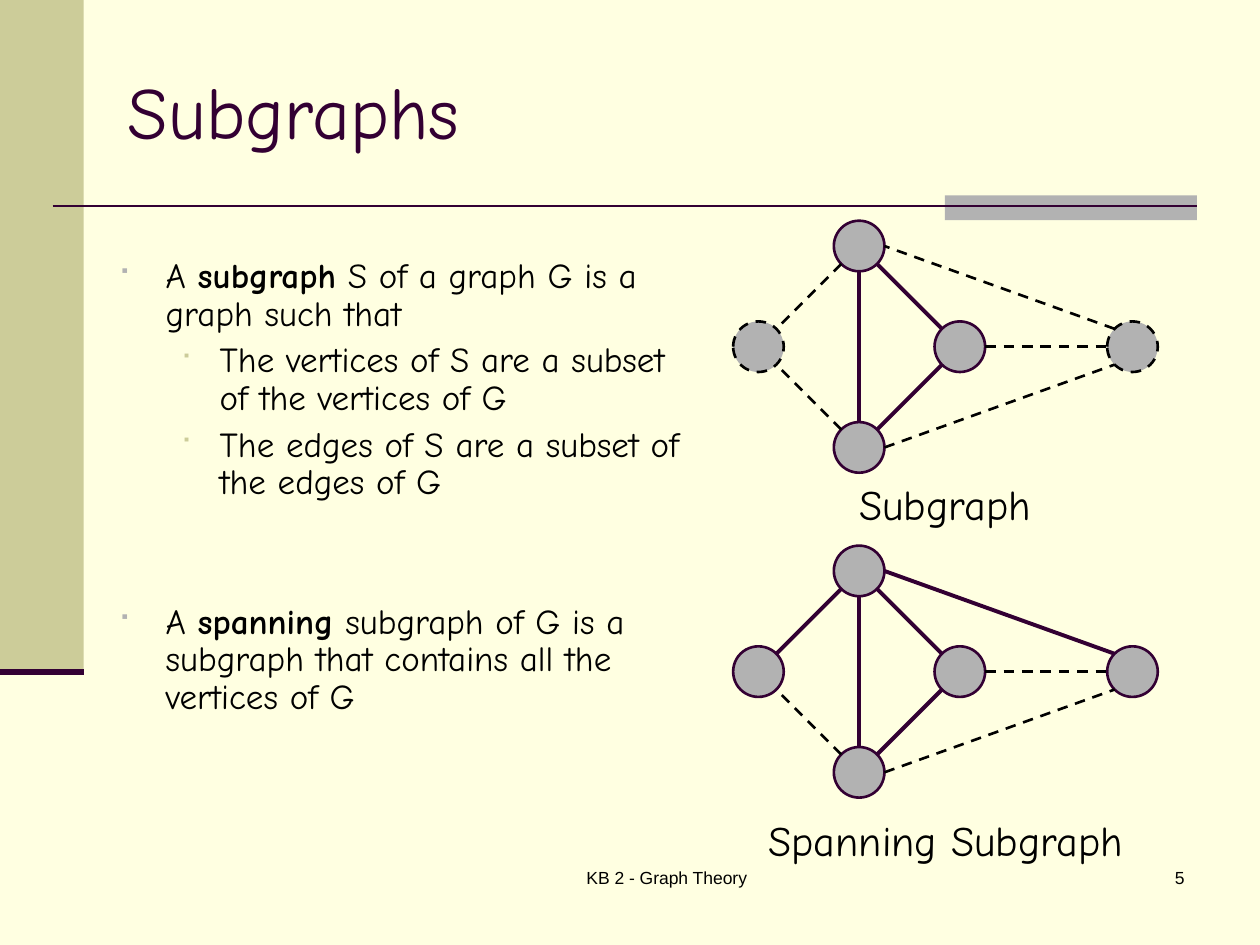
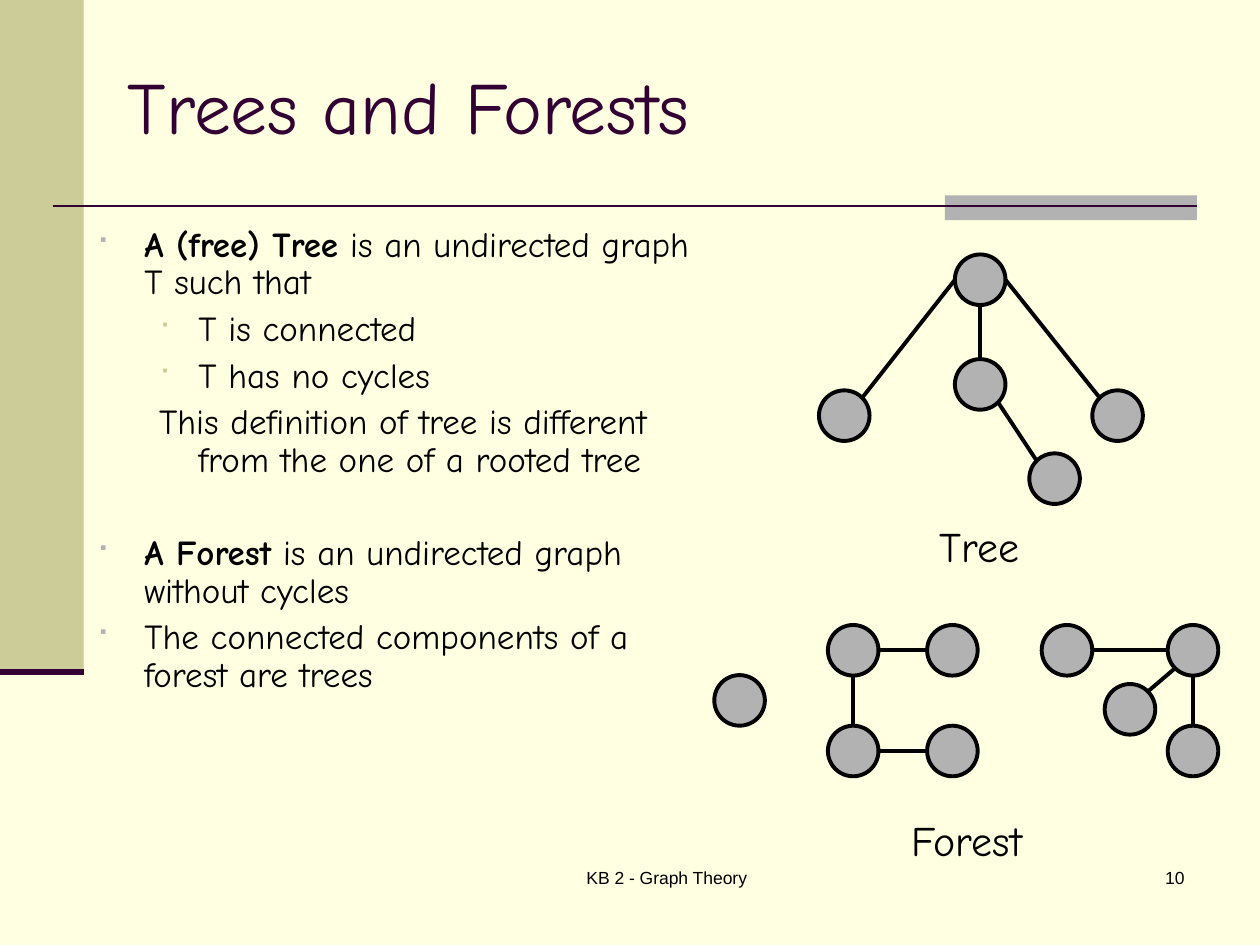
from dataclasses import dataclass
from math import cos, radians, sin

from lxml import etree
from pptx import Presentation
from pptx.dml.color import RGBColor
from pptx.enum.dml import MSO_LINE
from pptx.enum.shapes import MSO_CONNECTOR, MSO_SHAPE
from pptx.enum.text import MSO_ANCHOR, PP_ALIGN
from pptx.oxml.ns import qn
from pptx.util import Cm, Pt

DASH = MSO_LINE.DASH
STRAIGHT = MSO_CONNECTOR.STRAIGHT
RECTANGLE, OVAL = MSO_SHAPE.RECTANGLE, MSO_SHAPE.OVAL
TOP, MIDDLE = MSO_ANCHOR.TOP, MSO_ANCHOR.MIDDLE
LEFT, CENTER, RIGHT = PP_ALIGN.LEFT, PP_ALIGN.CENTER, PP_ALIGN.RIGHT

COLORS = {
    "paper": "FFFFE1",
    "olive": "CCCC99",
    "gray": "B2B2B2",
    "plum": "330033",
    "black": "000000",
}
HAND_FONT, FOOTER_FONT = "Comic Neue", "Arial"
FOOTER = "KB 2 - Graph Theory"
RADIUS = 0.51
# Compass points of a node, in degrees clockwise from east
COMPASS = {"E": 0, "SE": 45, "S": 90, "SW": 135, "W": 180, "NW": 225, "N": 270, "NE": 315}


# All lengths in the records below are centimetres
@dataclass(frozen=True)
class Frame:
    left: float
    top: float
    width: float
    height: float


@dataclass(frozen=True)
class Stroke:
    color: str
    points: float
    dashed: bool = False


@dataclass(frozen=True)
class Level:
    margin: float
    indent: float
    bullet_color: str = ""
    bullet_percent: int = 0


@dataclass(frozen=True)
class Item:
    text: str  # parts between asterisks are bold
    level: Level
    space_before: float = 5


@dataclass(frozen=True)
class Node:
    x: float
    y: float
    stroke: Stroke


@dataclass(frozen=True)
class Edge:
    start: str
    start_side: str
    end: str
    end_side: str
    stroke: Stroke


@dataclass(frozen=True)
class Graph:
    caption: str
    caption_frame: Frame
    nodes: dict[str, Node]
    edges: list[Edge]


@dataclass(frozen=True)
class Topic:
    title: str
    title_height: float
    body_frame: Frame
    items: list[Item]
    graphs: list[Graph]
    number: int


OUTLINE = Stroke("plum", 1.5)
CHOSEN = Stroke("plum", 2.25)
LEFT_OUT = Stroke("black", 1.5, dashed=True)
SOLID = Stroke("black", 2.25)

MAIN = Level(0.97, -0.97, "gray", 90)
SUB = Level(2.06, -0.79, "olive", 75)
REMARK = Level(2.06, -0.79)


def rgb(name: str) -> RGBColor:
    return RGBColor.from_string(COLORS[name])


def set_stroke(line, stroke: Stroke) -> None:
    line.color.rgb = rgb(stroke.color)
    line.width = Pt(stroke.points)
    if stroke.dashed:
        line.dash_style = DASH


def add_filled(page, kind, frame: Frame, color: str, stroke: Stroke | None = None) -> None:
    shape = page.shapes.add_shape(
        kind, Cm(frame.left), Cm(frame.top), Cm(frame.width), Cm(frame.height))
    shape.shadow.inherit = False
    shape.fill.solid()
    shape.fill.fore_color.rgb = rgb(color)
    if stroke:
        set_stroke(shape.line, stroke)
    else:
        shape.line.fill.background()


def add_line(page, start: tuple[float, float], end: tuple[float, float], stroke: Stroke) -> None:
    line = page.shapes.add_connector(STRAIGHT, *(Cm(value) for value in (*start, *end)))
    set_stroke(line.line, stroke)
    etree.SubElement(line._element.spPr, qn("a:effectLst"))


def add_box(page, frame: Frame, anchor=TOP):
    box = page.shapes.add_textbox(
        Cm(frame.left), Cm(frame.top), Cm(frame.width), Cm(frame.height))
    box.text_frame.word_wrap = True
    box.text_frame.vertical_anchor = anchor
    return box.text_frame


def style_paragraph(para, size: float, color: str = "black",
                    font: str = HAND_FONT, align=LEFT) -> None:
    para.alignment = align
    para.font.name = font
    para.font.size = Pt(size)
    para.font.color.rgb = rgb(color)


def add_label(page, frame: Frame, text: str, size: float, color: str = "black",
              font: str = HAND_FONT, align=LEFT, anchor=TOP) -> None:
    para = add_box(page, frame, anchor).paragraphs[0]
    para.add_run().text = text
    style_paragraph(para, size, color, font, align)


def set_level(para, level: Level) -> None:
    """Set the hanging indent and, where the level has one, the square bullet."""
    properties = para._p.get_or_add_pPr()
    properties.set("marL", str(Cm(level.margin)))
    properties.set("indent", str(Cm(level.indent)))
    if not level.bullet_color:
        return
    color = etree.Element(qn("a:buClr"))
    etree.SubElement(color, qn("a:srgbClr"), val=COLORS[level.bullet_color])
    size = etree.Element(qn("a:buSzPct"), val=str(level.bullet_percent * 1000))
    font = etree.Element(qn("a:buFont"), typeface="Wingdings")
    mark = etree.Element(qn("a:buChar"), char="■")
    place = properties.index(properties.find(qn("a:defRPr")))
    properties[place:place] = [color, size, font, mark]


def add_body(page, frame: Frame, items: list[Item]) -> None:
    text_frame = add_box(page, frame)
    for index, item in enumerate(items):
        para = text_frame.add_paragraph() if index else text_frame.paragraphs[0]
        style_paragraph(para, 20)
        para.line_spacing = 0.9
        para.space_before = Pt(item.space_before)
        set_level(para, item.level)
        for position, part in enumerate(item.text.split("*")):
            if part:
                span = para.add_run()
                span.text = part
                span.font.bold = position % 2 == 1


def side_point(node: Node, side: str) -> tuple[float, float]:
    angle = radians(COMPASS[side])
    return node.x + RADIUS * cos(angle), node.y + RADIUS * sin(angle)


def add_graph(page, graph: Graph) -> None:
    add_label(page, graph.caption_frame, graph.caption, 24, align=CENTER)
    for node in graph.nodes.values():
        frame = Frame(node.x - RADIUS, node.y - RADIUS, 2 * RADIUS, 2 * RADIUS)
        add_filled(page, OVAL, frame, "gray", node.stroke)
    for edge in graph.edges:
        add_line(page, side_point(graph.nodes[edge.start], edge.start_side),
                 side_point(graph.nodes[edge.end], edge.end_side), edge.stroke)


def kite(caption: str, caption_frame: Frame, center_y: float,
         absent_nodes: set[str], absent_edges: set[str]) -> Graph:
    """Build the five-node graph; parts outside the subgraph are dashed."""
    x, reach = 17.32, 2.03
    places = {
        "middle": (x + reach, center_y),
        "left": (x - reach, center_y),
        "top": (x, center_y - reach),
        "bottom": (x, center_y + reach),
        "right": (22.83, center_y),
    }
    routes = ["top SW left NE", "bottom NW left SE", "bottom NE middle SW",
              "top SE middle NW", "top S bottom N", "middle E right W",
              "bottom E right SW", "right NW top E"]
    nodes = {name: Node(*place, LEFT_OUT if name in absent_nodes else OUTLINE)
             for name, place in places.items()}
    edges = [Edge(*route.split(), LEFT_OUT if route in absent_edges else CHOSEN)
             for route in routes]
    return Graph(caption, caption_frame, nodes, edges)


def solid_graph(caption: str, caption_frame: Frame,
                places: dict[str, tuple[float, float]], routes: list[str]) -> Graph:
    nodes = {name: Node(*place, SOLID) for name, place in places.items()}
    return Graph(caption, caption_frame, nodes,
                 [Edge(*route.split(), SOLID) for route in routes])


SKIPPED = {"bottom NW left SE", "middle E right W", "bottom E right SW"}
SUBGRAPHS = Topic(
    "Subgraphs", 2.75, Frame(2.12, 5.08, 11.86, 12.7),
    [
        Item("A *subgraph* S of a graph G is a graph such that", MAIN),
        Item("The vertices of S are a subset of the vertices of G", SUB),
        Item("The edges of S are a subset of the edges of G", SUB),
        Item("A *spanning* subgraph of G is a subgraph that contains all the vertices of G",
             MAIN, 58),
    ],
    [
        kite("Subgraph", Frame(15.09, 9.53, 7.92, 1.27), 6.99, {"left", "right"},
             SKIPPED | {"top SW left NE", "right NW top E"}),
        kite("Spanning Subgraph", Frame(14, 16.3, 10.13, 1.27), 13.54, set(), SKIPPED),
    ],
    5,
)

UPPER, LOWER = 13.11, 15.14  # rows of the forest
TREES = Topic(
    "Trees and Forests", 2.54, Frame(1.69, 4.45, 12.7, 12.5),
    [
        Item("*A (free) Tree* is an undirected graph T such that", MAIN),
        Item("T is connected", SUB),
        Item("T has no cycles", SUB),
        Item("This definition of tree is different from the one of a rooted tree", REMARK),
        Item("*A Forest* is an undirected graph without cycles", MAIN, 31.5),
        Item("The connected components of a forest are trees", MAIN),
    ],
    [
        solid_graph(
            "Tree", Frame(15.77, 10.36, 7.95, 1.27),
            {"right": (22.53, 8.38), "root": (19.76, 5.64), "left": (17.02, 8.38),
             "child": (19.76, 7.75), "leaf": (21.26, 9.65)},
            ["left NE root W", "child N root S", "right NW root E", "child SE leaf NW"]),
        solid_graph(
            "Forest", Frame(14.43, 16.3, 10.13, 1.27),
            {"lone": (14.91, 14.12),
             "a": (17.2, UPPER), "b": (19.2, UPPER), "c": (17.2, LOWER), "d": (19.2, LOWER),
             "e": (21.51, UPPER), "f": (24.05, UPPER), "g": (24.05, LOWER), "h": (22.78, 14.3)},
            ["c N a S", "b W a E", "c E d W", "h NE f SW", "g N f S", "e E f W"]),
    ],
    10,
)


def add_topic(deck, topic: Topic) -> None:
    page = deck.slides.add_slide(deck.slide_layouts[6])
    page.background.fill.solid()
    page.background.fill.fore_color.rgb = rgb("paper")
    # Bands and rules
    add_filled(page, RECTANGLE, Frame(0, 0, 1.69, 13.55), "olive")
    add_filled(page, RECTANGLE, Frame(19.05, 3.94, 5.08, 0.5), "gray")
    add_line(page, (1.06, 4.15), (24.13, 4.15), OUTLINE)
    add_line(page, (0, 13.55), (1.69, 13.55), Stroke("plum", 3.5))
    # Title, body and graphs
    add_label(page, Frame(2.33, 0.85, 21.59, topic.title_height), topic.title, 42,
              "plum", anchor=MIDDLE)
    add_body(page, topic.body_frame, topic.items)
    for graph in topic.graphs:
        add_graph(page, graph)
    # Footer and page number
    add_label(page, Frame(9.31, 17.36, 8.26, 1.27), FOOTER, 10, font=FOOTER_FONT, align=CENTER)
    add_label(page, Frame(18.84, 17.36, 5.29, 1.27), str(topic.number), 10,
              font=FOOTER_FONT, align=RIGHT)


def main() -> None:
    deck = Presentation()
    deck.slide_width, deck.slide_height = Cm(25.4), Cm(19.05)
    for topic in (SUBGRAPHS, TREES):
        add_topic(deck, topic)
    deck.save("out.pptx")


if __name__ == "__main__":
    main()
